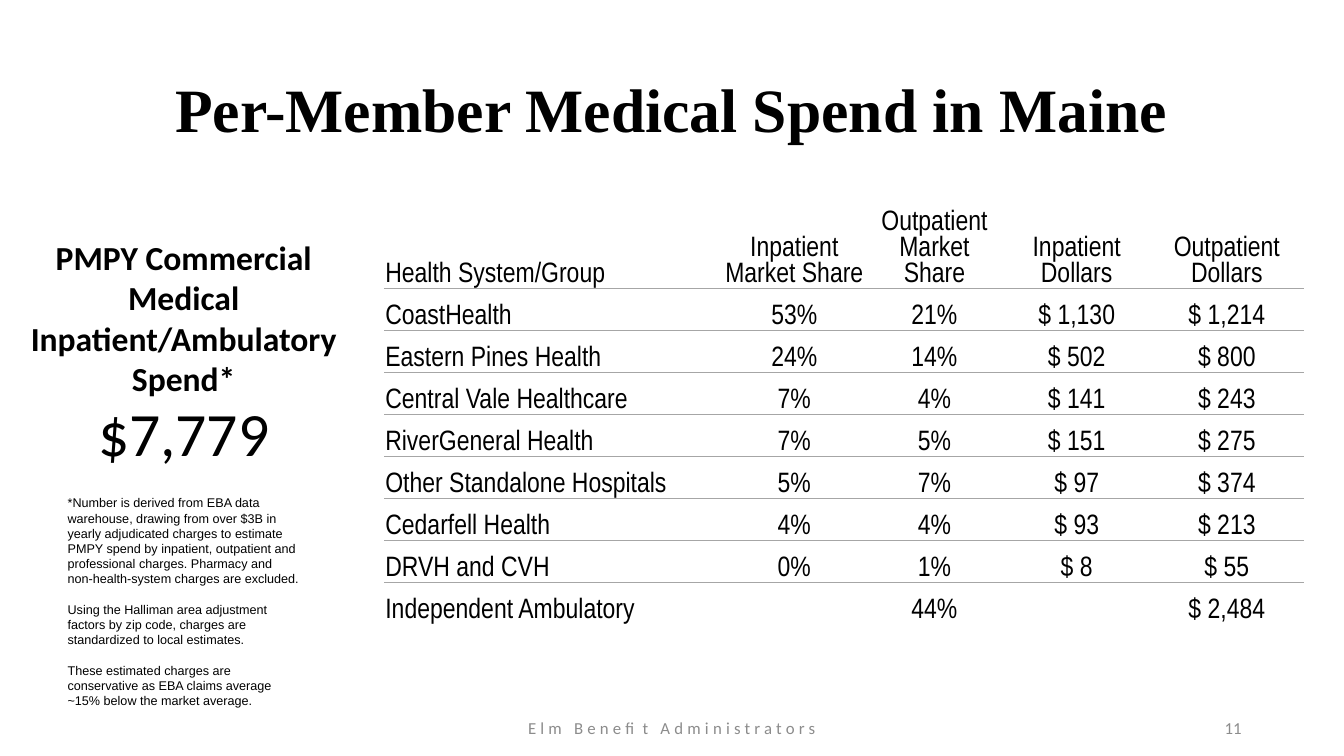
from lxml import etree
from pptx import Presentation
from pptx.dml.color import RGBColor
from pptx.enum.text import MSO_ANCHOR, PP_ALIGN
from pptx.oxml.ns import qn
from pptx.util import Emu, Pt

LEFT, CENTER, RIGHT = PP_ALIGN.LEFT, PP_ALIGN.CENTER, PP_ALIGN.RIGHT
TOP, MIDDLE, BOTTOM = MSO_ANCHOR.TOP, MSO_ANCHOR.MIDDLE, MSO_ANCHOR.BOTTOM
BLACK, FOOTER_GRAY, RULE_GRAY = "000000", "8C8C8C", "A6A6A6"
NO_GRID_STYLE = "{2D5ABB26-0587-4C30-8999-92F81FD0307C}"

TITLE_FONT = {"name": "Times New Roman", "size": Pt(44), "bold": True}
HEADING_FONT = {"name": "Calibri", "size": Pt(24), "bold": True}
AMOUNT_FONT = {"name": "Calibri", "size": Pt(44)}
FOOTER_FONT = {"name": "Calibri", "size": Pt(12)}
NOTE_FONT = {"name": "Arial", "size": Pt(9)}
TABLE_FONT = {"name": "Arial Narrow", "size": Pt(20)}

HEADING = ["PMPY Commercial", "Medical", "Inpatient/Ambulatory", "Spend*"]
NOTES = [
    "*Number is derived from EBA data warehouse, drawing from over $3B in yearly "
    "adjudicated charges to estimate PMPY spend by inpatient, outpatient and "
    "professional charges. Pharmacy and non-health-system charges are excluded.",
    "Using the Halliman area adjustment factors by zip code, charges are "
    "standardized to local estimates.",
    "These estimated charges are conservative as EBA claims average ~15% below "
    "the market average.",
]
COLUMN_WIDTHS = [323, 135, 132, 139, 147]
HEADER_HEIGHT, ROW_HEIGHT = 107, 40
SPEND_ROWS = [
    ["Health System/Group", "Inpatient Market Share", "Outpatient Market Share",
     "Inpatient Dollars", "Outpatient Dollars"],
    ["CoastHealth", "53%", "21%", "$ 1,130", "$ 1,214"],
    ["Eastern Pines Health", "24%", "14%", "$ 502", "$ 800"],
    ["Central Vale Healthcare", "7%", "4%", "$ 141", "$ 243"],
    ["RiverGeneral Health", "7%", "5%", "$ 151", "$ 275"],
    ["Other Standalone Hospitals", "5%", "7%", "$ 97", "$ 374"],
    ["Cedarfell Health", "4%", "4%", "$ 93", "$ 213"],
    ["DRVH and CVH", "0%", "1%", "$ 8", "$ 55"],
    ["Independent Ambulatory", "", "44%", "", "$ 2,484"],
]


def px(count):
    return Emu(count * 9525)


def color(hex_code):
    return RGBColor.from_string(hex_code)


def write_para(para, text, font, align=LEFT, hex_code=BLACK):
    para.alignment = align
    span = para.add_run()
    span.text = text
    for name, value in font.items():
        setattr(span.font, name, value)
    span.font.color.rgb = color(hex_code)
    return span


def add_text(page, place, lines, font, align=LEFT, anchor=TOP, hex_code=BLACK,
             wrap=True, gap=0):
    """Add a text box with one paragraph per line, gap points apart."""
    frame = page.shapes.add_textbox(*map(px, place)).text_frame
    frame.word_wrap = wrap
    frame.vertical_anchor = anchor
    for index, line in enumerate(lines):
        para = frame.add_paragraph() if index else frame.paragraphs[0]
        if index and gap:
            para.space_before = Pt(gap)
        write_para(para, line, font, align, hex_code)
    return frame


def add_rule(cell, side, position):
    """Draw a thin gray border; position is its place among the cell properties."""
    line = etree.Element(qn(f"a:{side}"), w=str(Pt(1)))
    fill = etree.SubElement(line, qn("a:solidFill"))
    etree.SubElement(fill, qn("a:srgbClr"), val=RULE_GRAY)
    cell._tc.get_or_add_tcPr().insert(position, line)


def format_cell(cell, text, align):
    cell.fill.background()
    cell.vertical_anchor = BOTTOM
    for side in ("left", "right", "top"):
        setattr(cell, f"margin_{side}", px(1))
    cell.margin_bottom = 0
    if text:
        write_para(cell.text_frame.paragraphs[0], text, TABLE_FONT, align)


def add_spend_table(page, left, top):
    last = len(SPEND_ROWS) - 1
    size = (sum(COLUMN_WIDTHS), HEADER_HEIGHT + last * ROW_HEIGHT)
    frame = page.shapes.add_table(last + 1, len(COLUMN_WIDTHS),
                                  *map(px, (left, top, *size)))
    table = frame.table
    table.first_row = table.horz_banding = False
    table._tbl.tblPr.find(qn("a:tableStyleId")).text = NO_GRID_STYLE
    for column, width in zip(table.columns, COLUMN_WIDTHS):
        column.width = px(width)
    for row_index, values in enumerate(SPEND_ROWS):
        table.rows[row_index].height = px(ROW_HEIGHT if row_index else HEADER_HEIGHT)
        for column_index, text in enumerate(values):
            cell = table.cell(row_index, column_index)
            format_cell(cell, text, CENTER if column_index else LEFT)
            if row_index < last:
                add_rule(cell, "lnB", 0)
            if row_index:
                add_rule(cell, "lnT", 0)


def main():
    deck = Presentation()
    deck.slide_width, deck.slide_height = px(1280), px(720)
    page = deck.slides.add_slide(deck.slide_layouts[6])

    title = add_text(page, (88, 38, 1104, 139), ["Per-Member Medical Spend in Maine"],
                     TITLE_FONT, CENTER, MIDDLE)
    title.paragraphs[0].line_spacing = 0.9
    footer = add_text(page, (424, 680, 432, 26), ["Elm Benefit Administrators"],
                      FOOTER_FONT, CENTER, MIDDLE, FOOTER_GRAY)
    footer.paragraphs[0].runs[0].font._element.set("spc", "300")
    add_text(page, (904, 680, 288, 26), ["11"], FOOTER_FONT, RIGHT, MIDDLE, FOOTER_GRAY)

    add_text(page, (14, 221, 322, 165), HEADING, HEADING_FONT, CENTER, wrap=False)
    add_text(page, (84, 371, 184, 81), ["$7,779"], AMOUNT_FONT, wrap=False)
    add_spend_table(page, 366, 168)
    add_text(page, (55, 467, 241, 213), NOTES, NOTE_FONT, gap=11)

    deck.save("out.pptx")


if __name__ == "__main__":
    main()
